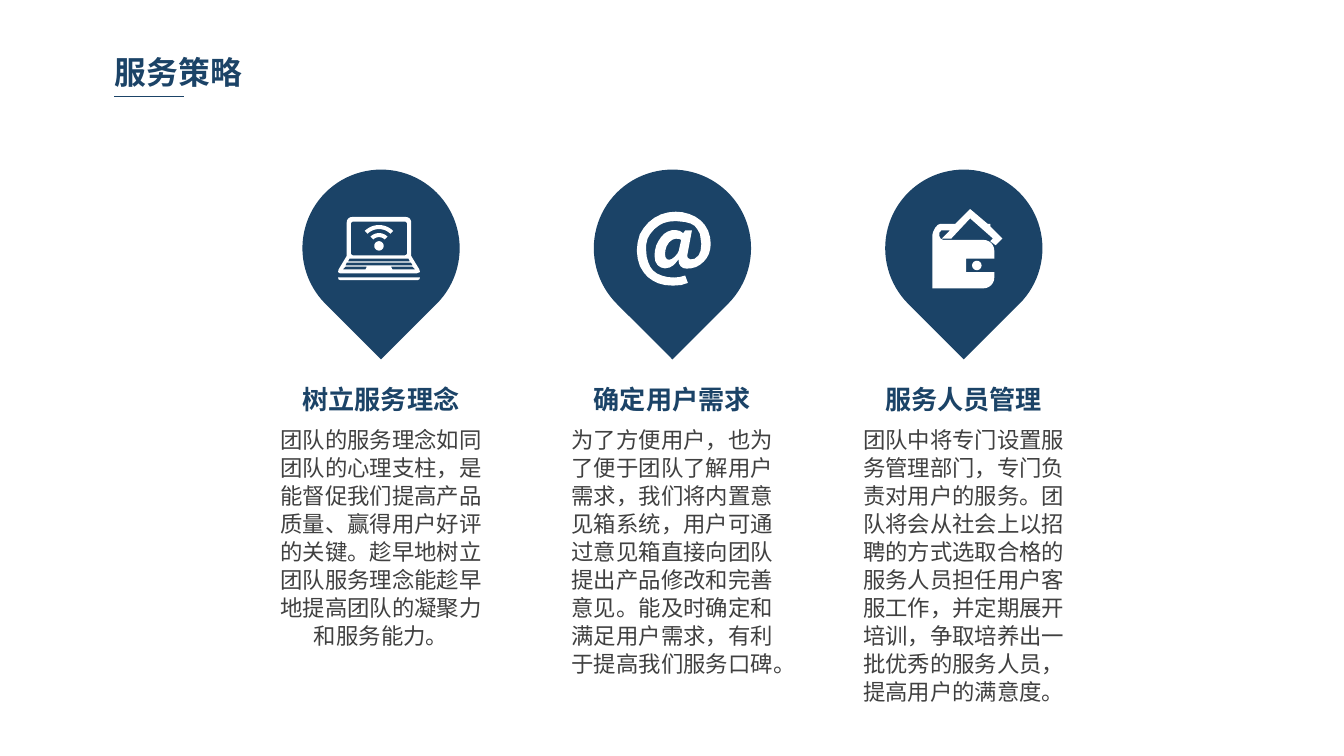
from math import cos, radians, sin

from lxml import etree
from pptx import Presentation
from pptx import util as u
from pptx.dml.color import RGBColor
from pptx.enum import shapes, text
from pptx.oxml.ns import qn

NAVY, GREY, WHITE = "1B4367", "404040", "FFFFFF"
FONT = "Noto Sans CJK SC"


def colour(hex_string):
    return RGBColor.from_string(hex_string)


def arc(x, y, radius, start, end, steps=12):
    """Points on an arc; angles in degrees, clockwise from the right."""
    angles = [radians(start + (end - start) * i / steps) for i in range(steps + 1)]
    return [(x + radius * cos(a), y + radius * sin(a)) for a in angles]


def band(x, y, inner, outer):
    """A quarter ring that opens downwards, for the wireless signal."""
    return arc(x, y, outer, 225, 315) + arc(x, y, inner, 315, 225)


def rounded_box(left, top, right, bottom, r):
    return (arc(left + r, top + r, r, 180, 270, 4) + arc(right - r, top + r, r, 270, 360, 4)
            + arc(right - r, bottom - r, r, 0, 90, 4) + arc(left + r, bottom - r, r, 90, 180, 4))


# Icon outlines are in hundredths of an inch; inner outlines cut holes.
LAPTOP = [
    [(61, 39), (55, 29)] + arc(51, 4, 4, 0, -90, 5) + arc(11, 4, 4, 270, 180, 5)
    + [(7, 29), (1, 39), (0.5, 41), (2, 42), (59, 42), (61.5, 41)],
    rounded_box(10, 3.4, 52, 28.6, 2),
    band(31, 21, 12, 15),
    band(31, 21, 6, 9),
    arc(31, 21.5, 3.5, 0, 360, 24),
    [(9, 31), (53, 31), (54, 33), (8, 33)],
    [(7, 34), (55, 34), (56, 36), (6, 36)],
    [(6, 37), (22, 37), (21, 39), (4, 39)],
    [(40, 37), (56, 37), (58, 39), (41, 39)],
    [(0.5, 45), (61.5, 45), (61, 46.5), (59.5, 47), (2.5, 47), (1, 46.5)],
]
AT_SIGN = [
    [(36, 14), (41, 14), (38, 30), (37.5, 33), (38, 34.5), (40, 35.5), (43, 35), (46, 32.5),
     (47.5, 29), (48, 24), (47, 16.5), (45, 13), (43, 10.5), (40, 8.8), (36, 7.7), (29, 7),
     (24, 7.4), (20, 8.4), (16.5, 10.2), (13, 13), (10, 16.5), (8, 20), (7, 24.5), (7, 29),
     (7.4, 33.5), (8.5, 37.5), (10, 41), (12, 43.7), (15, 46), (19, 47.7), (23, 48.7),
     (28, 49), (32, 48.6), (36, 47.5), (38, 53), (33, 54.6), (27, 55), (21, 54.6), (16, 53.3),
     (12, 51.3), (8, 48.5), (5, 45), (2.3, 40.5), (0.7, 35), (0, 29), (0.6, 23), (2.2, 17),
     (5, 12.3), (8.7, 8), (13, 4.6), (18, 2), (23.5, 0.5), (29, 0), (34, 0.4), (39, 1.7),
     (43.5, 3.7), (47.5, 6.5), (50.5, 9.8), (53, 14), (54.5, 19), (55, 24), (54.6, 28),
     (53.6, 31.5), (52, 34.5), (49.8, 37.2), (47, 39.5), (44, 41.2), (40.5, 42.1), (37, 42.4),
     (34.5, 41.9), (32.5, 40.5), (31.4, 38.5), (31, 35.5), (29, 38), (27, 40), (24.5, 41.5),
     (21, 42.2), (18, 41.5), (15.5, 39.8), (13.8, 37), (13.2, 33), (13.5, 29), (14.5, 25),
     (16, 22), (18, 19), (20.3, 16.5), (23, 14.8), (26, 13.8), (29, 13.7), (32, 14.3), (34.5, 16)],
    [(33, 21), (31.5, 20.3), (29, 20.1), (26.5, 20.8), (24, 22.8), (22.3, 25.5), (21.3, 28.5),
     (21, 31.5), (21.4, 34), (22.5, 35.4), (24.2, 35.8), (26, 35.2), (28, 33.7), (30, 31.5),
     (31.2, 29.3)],
]
WALLET = [
    [(8, 23)] + arc(38, 31, 8, 270, 360, 6) + [(46, 37), (25, 37), (25, 47), (46, 47)]
    + arc(38, 51, 8, 0, 90, 6)
    + [(0, 59), (0, 19), (0.5, 17), (2, 14), (4, 11.8), (6, 11), (17, 11), (28, 0), (41, 11),
       (43, 11), (43, 13), (52, 22), (47, 27), (43, 24), (45, 22), (28, 7), (14, 22), (7, 22),
       (13, 16), (6.5, 16), (5.2, 17.5), (5, 20), (6, 22)],
    arc(33, 42, 3.5, 0, 360, 24),
]


def write(frame, words, *, size, ink, bold=False, align=None, spacing=None):
    paragraph = frame.paragraphs[0]
    paragraph.alignment = align
    if spacing:
        paragraph.line_spacing = u.Pt(spacing)
    run = paragraph.add_run()
    run.text = words
    font = run.font
    font.size, font.bold, font.name = u.Pt(size), bold, FONT
    font.color.rgb = colour(ink)
    latin = run._r.get_or_add_rPr().find(qn("a:latin"))
    east_asian = etree.Element(qn("a:ea"))
    east_asian.set("typeface", FONT)
    latin.addnext(east_asian)


class Deck:
    """Places elements on a square grid of 100 columns across the slide."""

    def __init__(self, width, height):
        self.presentation = Presentation()
        self.presentation.slide_width = u.Inches(width)
        self.presentation.slide_height = u.Inches(height)
        self.cell = self.presentation.slide_width / 100
        self.slide = self.presentation.slides.add_slide(self.presentation.slide_layouts[6])

    def grid(self, *cells):
        return [u.Emu(round(cell * self.cell)) for cell in cells]

    def fill(self, shape, ink):
        shape.shadow.inherit = False
        shape.fill.solid()
        shape.fill.fore_color.rgb = colour(ink)
        shape.line.fill.background()

    def text_box(self, box, words, wrap=True, **style):
        frame = self.slide.shapes.add_textbox(*self.grid(*box)).text_frame
        frame.word_wrap = wrap
        frame.auto_size = text.MSO_AUTO_SIZE.SHAPE_TO_FIT_TEXT
        frame.margin_left, frame.margin_right = self.grid(0.7, 0.7)
        frame.margin_top, frame.margin_bottom = self.grid(0.4, 0.4)
        write(frame, words, **style)

    def rule(self, ends, ink, weight):
        line = self.slide.shapes.add_connector(shapes.MSO_CONNECTOR.STRAIGHT, *self.grid(*ends))
        line.line.color.rgb = colour(ink)
        line.line.width = u.Pt(weight)
        etree.SubElement(line._element.spPr, qn("a:effectLst"))

    def icon(self, parent, outlines, left, top):
        builder = None
        for outline in outlines:
            points = [(x * 100, y * 100) for x, y in outline]
            if builder is None:
                builder = parent.build_freeform(*points[0], scale=u.Inches(1) / 10000)
            else:
                builder.move_to(*points[0])
            builder.add_line_segments(points[1:], close=True)
        self.fill(builder.convert_to_shape(*self.grid(left, top)), WHITE)

    def pin(self, centre, top, size, outlines, icon_offset, icon_top):
        parent = self.slide.shapes.add_group_shape().shapes
        drop = parent.add_shape(shapes.MSO_SHAPE.TEAR,
                                *self.grid(centre - size / 2, top, size, size))
        drop.rotation = 135
        self.fill(drop, NAVY)
        self.icon(parent, outlines, centre + icon_offset, icon_top)


STRATEGIES = [
    ("树立服务理念", "团队的服务理念如同团队的心理支柱，是能督促我们提高产品质量、赢得用户好评的关键。"
     "趁早地树立团队服务理念能趁早地提高团队的凝聚力和服务能力。", 17.3, LAPTOP, -3.25, 16.15),
    ("确定用户需求", "为了方便用户，也为了便于团队了解用户需求，我们将内置意见箱系统，"
     "用户可通过意见箱直接向团队提出产品修改和完善意见。能及时确定和满足用户需求，"
     "有利于提高我们服务口碑。", 19.4, AT_SIGN, -2.65, 15.75),
    ("服务人员管理", "团队中将专门设置服务管理部门，专门负责对用户的服务。"
     "团队将会从社会上以招聘的方式选取合格的服务人员担任用户客服工作，并定期展开培训，"
     "争取培养出一批优秀的服务人员，提高用户的满意度。", 21.6, WALLET, -2.33, 15.55),
]


def main():
    deck = Deck(10, 10 * 9 / 16)
    centred = text.PP_ALIGN.CENTER
    deck.text_box((7.85, 3.55, 24.7, 3.6), "服务策略", size=17, ink=NAVY, bold=True)
    deck.rule((8.5, 7.2, 13.7, 7.2), NAVY, 0.75)
    for column, (heading, body, height, outlines, offset, icon_top) in enumerate(STRATEGIES):
        centre = 28.35 + 21.68 * column
        deck.pin(centre, 12.62, 11.7, outlines, offset, icon_top)
        deck.text_box((centre - 6.65, 28.15, 13.3, 3.1), heading, wrap=False,
                      size=14, ink=NAVY, bold=True, align=centred)
        deck.text_box((centre - 8.6, 31.2, 17.2, height), body,
                      size=12, ink=GREY, align=centred, spacing=15)
    deck.presentation.save("out.pptx")


if __name__ == "__main__":
    main()
